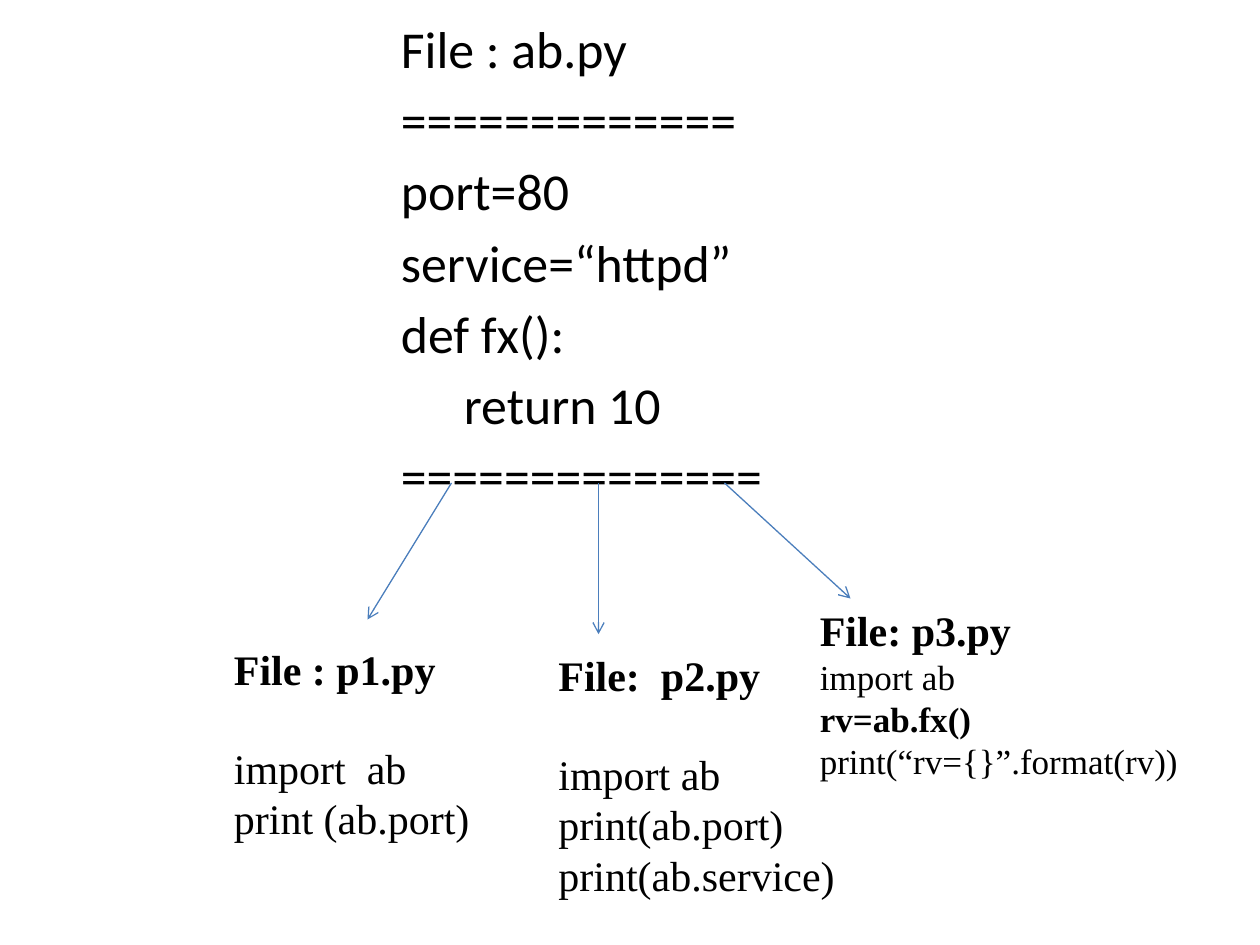
"""Build a slide showing how three scripts import one Python module."""
from dataclasses import dataclass

from lxml.etree import SubElement
from pptx import Presentation
from pptx.dml.color import RGBColor as Rgb
from pptx.enum.shapes import MSO_CONNECTOR as Conn
from pptx.enum.text import MSO_AUTO_SIZE as Fit
from pptx.oxml.ns import qn
from pptx.slide import Slide
from pptx.util import Inches, Pt

COLS, ROWS = 120, 90
WIDE, HIGH = Inches(10), Inches(7.5)
HUES = {"ink": "000000", "arrow": "4B7EBC"}


@dataclass
class Line:
    text: str
    size: float = 24
    bold: bool = False
    gap: float = 0


@dataclass
class Block:
    left: float
    top: float
    cols: float
    rows: float
    lines: list[Line]
    font: str = "Times New Roman"
    wrap: bool = True
    fit: Fit = Fit.SHAPE_TO_FIT_TEXT


@dataclass
class Arrow:
    start: float
    end: float
    tip: float


CODE = ["File : ab.py", "=" * 13, "port=80", "service=“httpd”",
        "def fx():", "\treturn 10", "=" * 14]
SKIP = 27.6
BLOCKS = [
    Block(37, 1, 43, 48, [Line(text, 29.6, gap=5.2) for text in CODE],
          "Calibri", fit=Fit.NONE),
    Block(21.1, 60.7, 28.8, 25.4, [
        Line("File : p1.py", bold=True),
        Line("import  ab", gap=SKIP),
        Line("print (ab.port)")]),
    Block(52, 61.3, 28.9, 29, [
        Line("File:  p2.py", bold=True),
        Line("import ab", gap=SKIP),
        Line("print(ab.port)"),
        Line("print(ab.service)")], wrap=False),
    Block(76.9, 57, 43.4, 18.1, [
        Line("File: p3.py", bold=True),
        Line("import ab", 20),
        Line("rv=ab.fx()", 20, True),
        Line("print(“rv={}”.format(rv))", 20)]),
]
BASE = 46
ARROWS = [Arrow(43, 35, 59), Arrow(57, 57, 60.4), Arrow(69, 81, 57)]


def across(col: float) -> int:
    return round(WIDE * col / COLS)


def down(row: float) -> int:
    return round(HIGH * row / ROWS)


def write(slide: Slide, block: Block) -> None:
    box = slide.shapes.add_textbox(across(block.left), down(block.top),
                                   across(block.cols), down(block.rows))
    frame = box.text_frame
    frame.word_wrap = block.wrap
    frame.auto_size = block.fit
    frame.text = "\n".join(line.text for line in block.lines)
    for para, line in zip(frame.paragraphs, block.lines):
        para.space_before = Pt(line.gap)
        for run in para.runs:
            font = run.font
            font.name = block.font
            font.size = Pt(line.size)
            font.bold = line.bold
            font.color.rgb = Rgb.from_string(HUES["ink"])


def point(slide: Slide, arrow: Arrow) -> None:
    link = slide.shapes.add_connector(
        Conn.STRAIGHT, across(arrow.start), down(BASE),
        across(arrow.end), down(arrow.tip))
    link.line.width = Pt(0.75)
    link.line.color.rgb = Rgb.from_string(HUES["arrow"])
    SubElement(link.line._get_or_add_ln(), qn("a:tailEnd"), type="arrow")
    SubElement(link._element.spPr, qn("a:effectLst"))


def main() -> None:
    deck = Presentation()
    deck.slide_width, deck.slide_height = WIDE, HIGH
    slide = deck.slides.add_slide(deck.slide_layouts[6])
    for block in BLOCKS:
        write(slide, block)
    for arrow in ARROWS:
        point(slide, arrow)
    deck.save("out.pptx")


if __name__ == "__main__":
    main()
